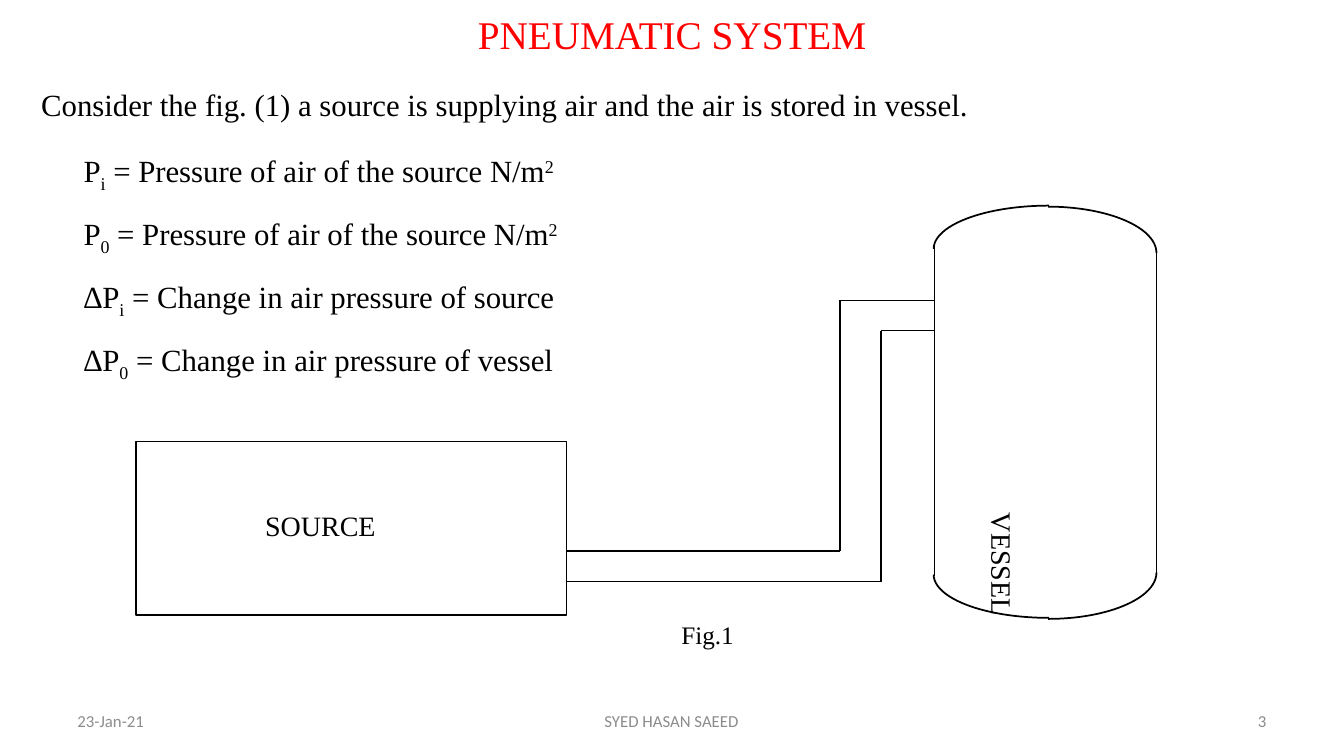
from dataclasses import dataclass

from lxml.etree import SubElement
from pptx import Presentation
from pptx.dml.color import RGBColor
from pptx.enum.shapes import MSO_CONNECTOR as Conn, MSO_SHAPE as Shape
from pptx.enum.text import MSO_ANCHOR as Anchor, MSO_AUTO_SIZE as AutoSize, PP_ALIGN as Align
from pptx.oxml.ns import qn
from pptx.util import Pt

PX = 9144  # EMU per px, 100 px to the inch
COLORS = {"title": "FF0000", "ink": "000000", "footer": "8C8C8C"}
SERIF, SANS = "Times New Roman", "Calibri"
LINE_WIDTH = Pt(1.25)


@dataclass
class Label:
    text: str
    box: tuple[int, int, int, int]
    size: int
    font: str = SERIF
    color: str = "ink"
    align: Align = Align.LEFT
    anchor: Anchor = Anchor.TOP
    rotation: int = 0
    spacing: float = 1.0


@dataclass
class Quarter:
    start: int  # degrees, clockwise from the right
    box: tuple[int, int, int, int]


@dataclass
class Symbol:
    base: str
    index: str
    meaning: str
    power: str = ""


def emu(*lengths: int) -> list[int]:
    return [length * PX for length in lengths]


def rgb(name: str) -> RGBColor:
    return RGBColor.from_string(COLORS[name])


def style_run(r, label: Label, baseline: int = 0) -> None:
    r.font.size, r.font.name = Pt(label.size), label.font
    r.font.color.rgb = rgb(label.color)
    if baseline:
        r.font._element.set("baseline", str(baseline * 1000))


def fill_text(sp, label: Label) -> None:
    sp.left, sp.top, sp.width, sp.height = emu(*label.box)
    sp.rotation = label.rotation
    tf = sp.text_frame
    tf.word_wrap, tf.auto_size = True, AutoSize.NONE
    tf.vertical_anchor = label.anchor
    tf.text = label.text
    for p in tf.paragraphs:
        p.alignment, p.line_spacing = label.align, label.spacing
        for r in p.runs:
            style_run(r, label)


def add_label(s, label: Label):
    sp = s.shapes.add_textbox(*emu(*label.box))
    fill_text(sp, label)
    return sp


def add_symbols(s, symbols: list[Symbol], label: Label) -> None:
    tf = add_label(s, label).text_frame
    for i, symbol in enumerate(symbols):
        p = tf.add_paragraph() if i else tf.paragraphs[0]
        p.line_spacing = label.spacing
        parts = ((symbol.base, 0), (symbol.index, -25),
                 (f" = {symbol.meaning}", 0), (symbol.power, 30))
        for text, baseline in parts:
            if text:
                r = p.add_run()
                r.text = text
                style_run(r, label, baseline)


def add_line(s, start: tuple[int, int], end: tuple[int, int]) -> None:
    line = s.shapes.add_connector(Conn.STRAIGHT, *emu(*start, *end))
    line.line.color.rgb, line.line.width = rgb("ink"), LINE_WIDTH
    SubElement(line._element.spPr, qn("a:effectLst"))


def add_outline(s, kind: Shape, box: tuple[int, int, int, int]):
    sp = s.shapes.add_shape(kind, *emu(*box))
    sp.shadow.inherit = False
    sp.fill.background()
    sp.line.color.rgb, sp.line.width = rgb("ink"), LINE_WIDTH
    return sp


def add_quarter(s, quarter: Quarter) -> None:
    sp = add_outline(s, Shape.ARC, quarter.box)
    for i, angle in enumerate((quarter.start, (quarter.start + 90) % 360)):
        sp.adjustments[i] = angle * 0.6  # 60000ths of a degree, scaled by 100000


TITLE = Label("PNEUMATIC SYSTEM", (31, 10, 1271, 47), 28, color="title",
              align=Align.CENTER, anchor=Anchor.MIDDLE)
LABELS = [
    Label("Consider the fig. (1) a source is supplying air and the air is stored in vessel.",
          (31, 62, 1272, 60), 22, spacing=1.5),
    Label("Fig.1", (666, 609, 104, 40), 18),
    Label("SOURCE", (253, 500, 208, 44), 20),
    Label("VESSEL", (916, 555, 156, 44), 20, rotation=90),
]
FOOTERS = [
    ("23-Jan-21", (67, 695, 311, 40), Align.LEFT),
    ("SYED HASAN SAEED", (455, 695, 422, 40), Align.CENTER),
    ("3", (955, 695, 311, 40), Align.RIGHT),
]
SYMBOLS = [
    Symbol("P", "i", "Pressure of air of the source N/m", "2"),
    Symbol("P", "0", "Pressure of air of the source N/m", "2"),
    Symbol("∆P", "i", "Change in air pressure of source"),
    Symbol("∆P", "0", "Change in air pressure of vessel"),
]
SYMBOL_STYLE = Label("", (73, 125, 708, 270), 22, spacing=1.5)
VESSEL_ENDS = [
    Quarter(270, (932, 205, 215, 92)),
    Quarter(180, (926, 204, 229, 86)),
    Quarter(0, (932, 522, 215, 92)),
    Quarter(90, (926, 527, 229, 86)),
]
VESSEL_SIDES = [((927, 243), (927, 571)), ((1147, 250), (1147, 568))]
SOURCE_BOX = (135, 438, 427, 172)
PIPES = [  # each wall runs from the source, up, and into the vessel
    [(562, 577), (874, 577), (874, 328), (927, 328)],
    [(562, 547), (833, 547), (833, 298), (927, 298)],
]


def main() -> None:
    prs = Presentation()
    prs.slide_width, prs.slide_height = emu(1333, 750)
    s = prs.slides.add_slide(prs.slide_layouts[5])

    # Title and text
    fill_text(s.shapes.title, TITLE)
    for label in LABELS:
        add_label(s, label)
    add_symbols(s, SYMBOLS, SYMBOL_STYLE)

    # Vessel
    for quarter in VESSEL_ENDS:
        add_quarter(s, quarter)
    for start, end in VESSEL_SIDES:
        add_line(s, start, end)

    # Source and pipe
    add_outline(s, Shape.RECTANGLE, SOURCE_BOX)
    for wall in PIPES:
        for start, end in zip(wall, wall[1:]):
            add_line(s, start, end)

    # Footer
    for text, box, align in FOOTERS:
        add_label(s, Label(text, box, 12, SANS, "footer", align, Anchor.MIDDLE))

    prs.save("out.pptx")


if __name__ == "__main__":
    main()
